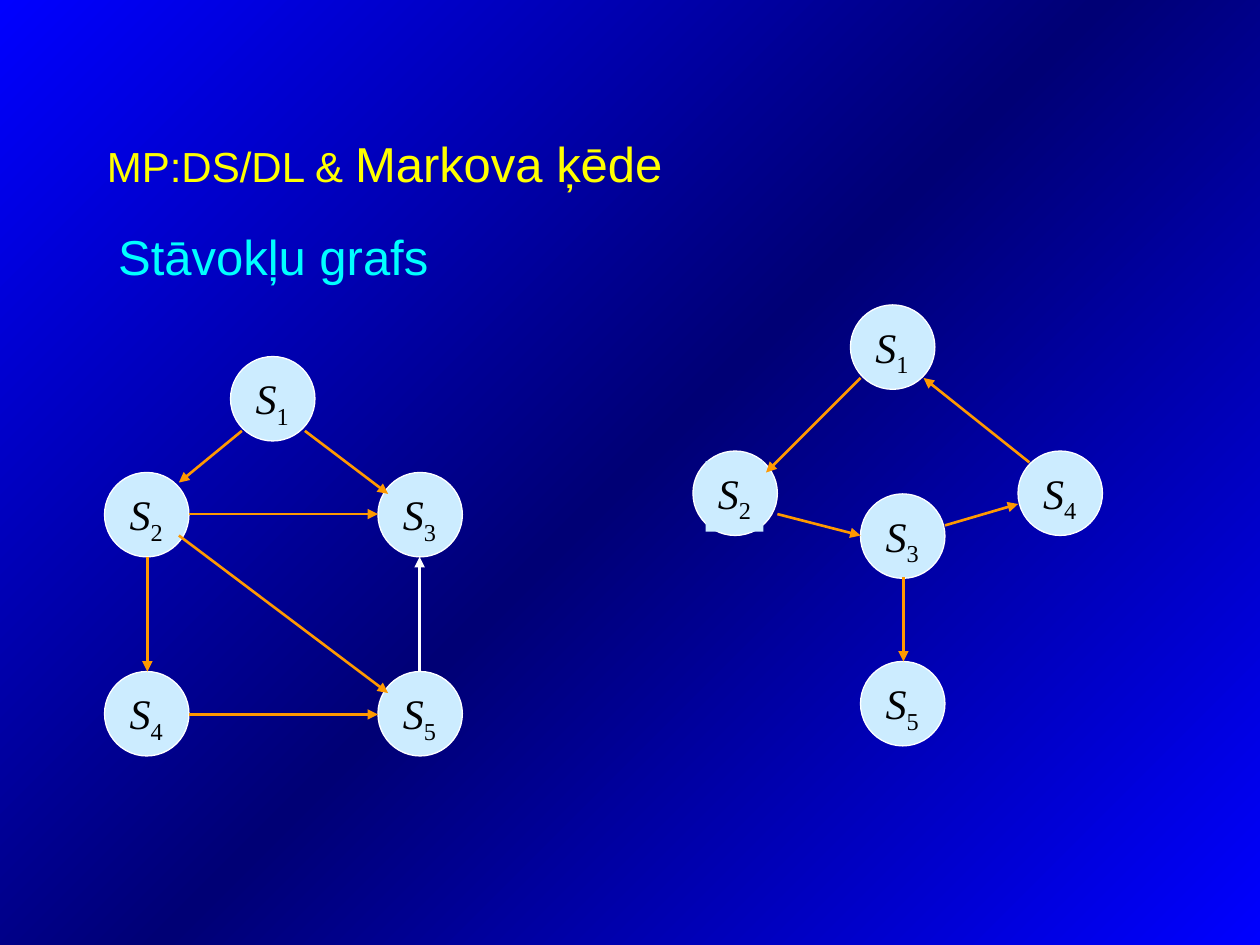
from copy import deepcopy
from typing import NamedTuple

from lxml import etree
from pptx import Presentation
from pptx.dml.color import RGBColor
from pptx.enum.shapes import MSO_CONNECTOR, MSO_SHAPE
from pptx.enum.text import MSO_ANCHOR, MSO_AUTO_SIZE
from pptx.oxml.ns import qn
from pptx.util import Inches, Pt

OVAL = MSO_SHAPE.OVAL
STRAIGHT = MSO_CONNECTOR.STRAIGHT
MIDDLE = MSO_ANCHOR.MIDDLE
FIT_SHAPE = MSO_AUTO_SIZE.SHAPE_TO_FIT_TEXT

COLORS = {
    "edge_blue": "0000FF",
    "deep_blue": "000075",
    "title": "FFFF00",
    "subtitle": "00FFFF",
    "state": "CCECFF",
    "white": "FFFFFF",
    "arrow": "FF9900",
    "label": "000000",
}
HEADING_FONT = "Arial"
LABEL_FONT = "Times New Roman"
STATE_SIZE = 0.67
LABEL_DX, LABEL_DY = 0.1, 0.08
LABEL_WIDTH, LABEL_HEIGHT = 0.46, 0.56


class State(NamedTuple):
    number: str
    left: float
    top: float
    filled_label: bool = False


class Transition(NamedTuple):
    x1: float
    y1: float
    x2: float
    y2: float
    color: str = "arrow"


STATES = [
    # Left graph
    State("1", 1.83, 2.83),
    State("2", 0.83, 3.75),
    State("3", 3, 3.75),
    State("4", 0.83, 5.33),
    State("5", 3, 5.33),
    # Right graph
    State("1", 6.75, 2.42),
    State("2", 5.5, 3.58, filled_label=True),
    State("3", 6.83, 3.92),
    State("4", 8.08, 3.58),
    State("5", 6.83, 5.25),
]

TRANSITIONS = [
    # Left graph
    Transition(2.42, 3.42, 3.08, 3.92),
    Transition(1.92, 3.42, 1.42, 3.83),
    Transition(1.5, 4.08, 3, 4.08),
    Transition(1.17, 4.42, 1.17, 5.33),
    Transition(3.33, 5.33, 3.33, 4.42, "white"),
    Transition(1.5, 5.67, 3, 5.67),
    Transition(1.42, 4.25, 3.08, 5.5),
    # Right graph
    Transition(6.83, 3, 6.08, 3.75),
    Transition(8.17, 3.67, 7.33, 3),
    Transition(6.17, 4.08, 6.83, 4.25),
    Transition(7.5, 4.17, 8.08, 4),
    Transition(7.17, 4.58, 7.17, 5.25),
]


def rgb(name: str) -> RGBColor:
    return RGBColor.from_string(COLORS[name])


def paint_background(slide) -> None:
    fill = slide.background.fill
    fill.gradient()
    fill.gradient_angle = 135
    first_stop = fill.gradient_stops[0]._gs
    first_stop.addnext(deepcopy(first_stop))
    for stop, position, color in zip(
        fill.gradient_stops, (0, 0.5, 1), ("edge_blue", "deep_blue", "edge_blue")
    ):
        stop.position = position
        stop.color.rgb = rgb(color)


def add_text(slide, left: float, top: float, width: float, height: float,
             parts: list[tuple[str, int]], font: str, color: str):
    """Add a one-line text box; parts are (text, size) runs."""
    box = slide.shapes.add_textbox(
        Inches(left), Inches(top), Inches(width), Inches(height))
    box.text_frame.word_wrap = False
    box.text_frame.auto_size = FIT_SHAPE
    paragraph = box.text_frame.paragraphs[0]
    paragraph.font.name = font
    paragraph.font.color.rgb = rgb(color)
    for text, size in parts:
        run = paragraph.add_run()
        run.text = text
        run.font.size = Pt(size)
    return box


def add_state(slide, state: State) -> None:
    circle = slide.shapes.add_shape(
        OVAL, Inches(state.left), Inches(state.top),
        Inches(STATE_SIZE), Inches(STATE_SIZE))
    circle.shadow.inherit = False
    circle.fill.solid()
    circle.fill.fore_color.rgb = rgb("state")
    circle.line.color.rgb = rgb("white")
    circle.line.width = Pt(0.75)


def add_transition(slide, move: Transition) -> None:
    arrow = slide.shapes.add_connector(
        STRAIGHT, Inches(move.x1), Inches(move.y1), Inches(move.x2), Inches(move.y2))
    arrow.line.color.rgb = rgb(move.color)
    arrow.line.width = Pt(1.5)
    etree.SubElement(arrow.line._get_or_add_ln(), qn("a:tailEnd"), type="triangle")
    etree.SubElement(arrow._element.spPr, qn("a:effectLst"))


def add_state_label(slide, state: State) -> None:
    label = add_text(slide, state.left + LABEL_DX, state.top + LABEL_DY,
                     LABEL_WIDTH, LABEL_HEIGHT,
                     [("S", 24), (state.number, 24)], LABEL_FONT, "label")
    letter, index = label.text_frame.paragraphs[0].runs
    letter.font.italic = True
    index._r.get_or_add_rPr().set("baseline", "-25000")
    if state.filled_label:
        label.fill.solid()
        label.fill.fore_color.rgb = rgb("state")


def main() -> None:
    prs = Presentation()
    prs.slide_width, prs.slide_height = Inches(10), Inches(7.5)
    slide = prs.slides.add_slide(prs.slide_layouts[6])
    paint_background(slide)

    # Headings
    title = add_text(slide, 0.75, 0.67, 8.5, 1.25,
                     [("MP:DS/DL & ", 24), ("Markova ķēde", 28)],
                     HEADING_FONT, "title")
    title.text_frame.auto_size = MSO_AUTO_SIZE.NONE
    title.text_frame.word_wrap = True
    title.text_frame.vertical_anchor = MIDDLE
    add_text(slide, 0.84, 1.75, 2.66, 0.57, [("Stāvokļu grafs", 28)],
             HEADING_FONT, "subtitle")

    # State graphs: circles, then arrows, then labels on top
    for state in STATES:
        add_state(slide, state)
    for move in TRANSITIONS:
        add_transition(slide, move)
    for state in STATES:
        add_state_label(slide, state)

    prs.save("out.pptx")


if __name__ == "__main__":
    main()
